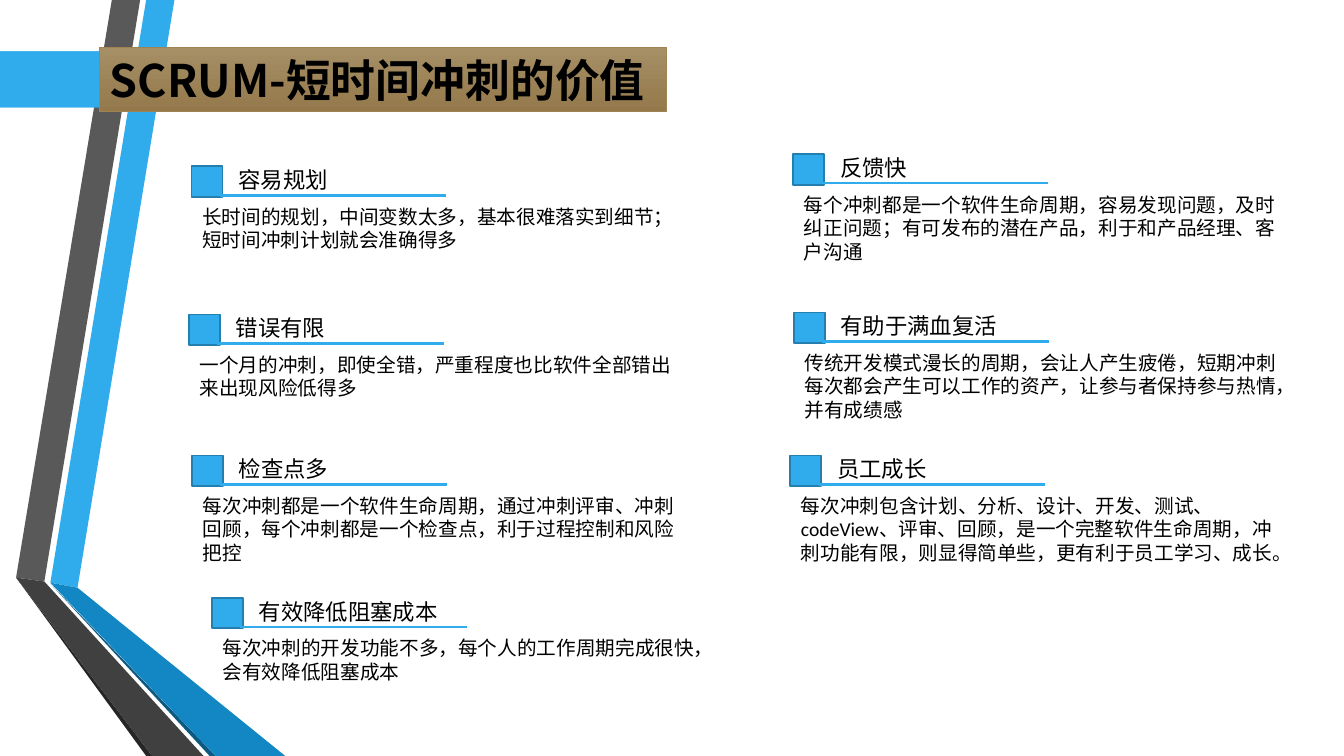
"""Build the slide on the value of short Scrum sprints."""
from pptx import Presentation
from pptx.dml.color import RGBColor
from pptx.enum.shapes import MSO_CONNECTOR as Connector, MSO_SHAPE as Preset
from pptx.enum.text import MSO_ANCHOR as Anchor, MSO_AUTO_SIZE as AutoSize, PP_ALIGN as Align
from pptx.oxml.ns import qn
from pptx.util import Pt

TITLE = "SCRUM-短时间冲刺的价值"
VALUES = [
    (136.8, 118.8, "容易规划",
     "长时间的规划，中间变数太多，基本很难落实到细节；短时间冲刺计划就会准确得多"),
    (566.6, 110.2, "反馈快",
     "每个冲刺都是一个软件生命周期，容易发现问题，及时纠正问题；有可发布的潜在产品，利于和产品经理、客户沟通"),
    (135, 224.6, "错误有限",
     "一个月的冲刺，即使全错，严重程度也比软件全部错出来出现风险低得多"),
    (567, 223.2, "有助于满血复活",
     "传统开发模式漫长的周期，会让人产生疲倦，短期冲刺每次都会产生可以工作的资产，让参与者保持参与热情，并有成绩感"),
    (137.2, 325.4, "检查点多",
     "每次冲刺都是一个软件生命周期，通过冲刺评审、冲刺回顾，每个冲刺都是一个检查点，利于过程控制和风险把控"),
    (564.5, 325.4, "员工成长",
     "每次冲刺包含计划、分析、设计、开发、测试、codeView、评审、回顾，是一个完整软件生命周期，冲刺功能有限，则显得简单些，更有利于员工学习、成长。"),
    (151.4, 427, "有效降低阻塞成本",
     "每次冲刺的开发功能不多，每个人的工作周期完成很快，会有效降低阻塞成本"),
]
BLUE, EDGE, BLACK = "30ACEC", "247FAF", "000000"
BANDS = [
    (BLUE, [(36, 416.2), (55.4, 419.8), (124.6, 0), (104.4, 0)]),
    ("595959", [(100.1, 0), (79.9, 0), (11.5, 412.6), (31.7, 415.4)]),
    ("262626", [(11.5, 412.6), (104.4, 540), (108.7, 540)]),
    ("0C5A82", [(36, 416.9), (149.8, 540), (154.1, 540)]),
    ("1287C3", [(36, 416.2), (154.1, 540), (203.8, 540), (55.4, 419.8)]),
    ("404040", [(145.4, 540), (31.7, 415.4), (11.5, 412.6), (108.7, 540)]),
]
RIBBON_WIDTHS = [125.3, 273.6]
TITLE_GRADIENT = ["A78F66", "93794B"]
TITLE_FONT = {"name": "Noto Sans CJK SC", "size": Pt(32), "bold": True}
HEADING_FONT = {"name": "Calibri", "size": Pt(16)}
BODY_FONT = {"name": "Calibri", "size": Pt(14)}
FRAME = {"word_wrap": True, "auto_size": AutoSize.NONE, "vertical_anchor": Anchor.TOP}
TITLE_FRAME = {**FRAME, "word_wrap": False, "vertical_anchor": Anchor.MIDDLE}


def set_all(target, values):
    for name, value in values.items():
        setattr(target, name, value)


def paint(part, color):
    part.solid()
    part.fore_color.rgb = RGBColor.from_string(color)


def outline(shape, color, width):
    paint(shape.line.fill, color)
    shape.line.width = Pt(width)


def fill_plain(shape, color):
    shape.shadow.inherit = False
    paint(shape.fill, color)
    shape.line.fill.background()


def write(shape, text, font, frame=FRAME):
    set_all(shape.text_frame, frame)
    para = shape.text_frame.paragraphs[0]
    para.alignment = Align.LEFT
    span = para.add_run()
    span.text = text
    set_all(span.font, font)
    paint(span.font.fill, BLACK)
    east = span.font._element.makeelement(qn("a:ea"), {"typeface": font["name"]})
    span.font._element.find(qn("a:latin")).addnext(east)


def add_background(page):
    for color, points in BANDS:
        corners = [(Pt(x), Pt(y)) for x, y in points]
        builder = page.shapes.build_freeform(*corners[0], scale=1.0)
        builder.add_line_segments(corners[1:], close=True)
        fill_plain(builder.convert_to_shape(), color)
    for width in RIBBON_WIDTHS:
        ribbon = page.shapes.add_shape(Preset.PENTAGON, 0, Pt(36.7), Pt(width), Pt(40))
        fill_plain(ribbon, BLUE)


def add_title(page):
    title = page.shapes.title
    set_all(title, {"left": Pt(71.2), "top": Pt(33.6), "width": Pt(404.6), "height": Pt(46)})
    title.fill.gradient()
    title.fill.gradient_angle = 270
    for stop, color in zip(title.fill.gradient_stops, TITLE_GRADIENT):
        stop.color.rgb = RGBColor.from_string(color)
    for stop, position in zip(title.fill.gradient_stops, (0, 1)):
        stop.position = position
    outline(title, "9F8351", 0.75)
    write(title, TITLE, TITLE_FONT, TITLE_FRAME)
    title.element.getparent().append(title.element)


def add_value(page, left, top, heading, body):
    square = page.shapes.add_shape(Preset.RECTANGLE, Pt(left), Pt(top), Pt(22.2), Pt(21.8))
    fill_plain(square, BLUE)
    outline(square, EDGE, 1.25)
    start, level = left + 20.2, top + 20.7
    rule = page.shapes.add_connector(
        Connector.STRAIGHT, Pt(start), Pt(level), Pt(start + 161.8), Pt(level))
    outline(rule, BLUE, 1.75)
    properties = rule.element.spPr
    properties.append(properties.makeelement(qn("a:effectLst"), {}))
    box = page.shapes.add_textbox(Pt(left + 26.4), Pt(top - 3.6), Pt(155.6), Pt(26.6))
    write(box, heading, HEADING_FONT)
    box = page.shapes.add_textbox(Pt(left + 0.6), Pt(top + 23.8), Pt(362.2), Pt(58.3))
    write(box, body, BODY_FONT)


def main():
    deck = Presentation()
    set_all(deck, {"slide_width": Pt(960), "slide_height": Pt(540)})
    page = deck.slides.add_slide(deck.slide_layouts[5])
    add_background(page)
    add_title(page)
    for value in VALUES:
        add_value(page, *value)
    deck.save("out.pptx")


if __name__ == "__main__":
    main()
